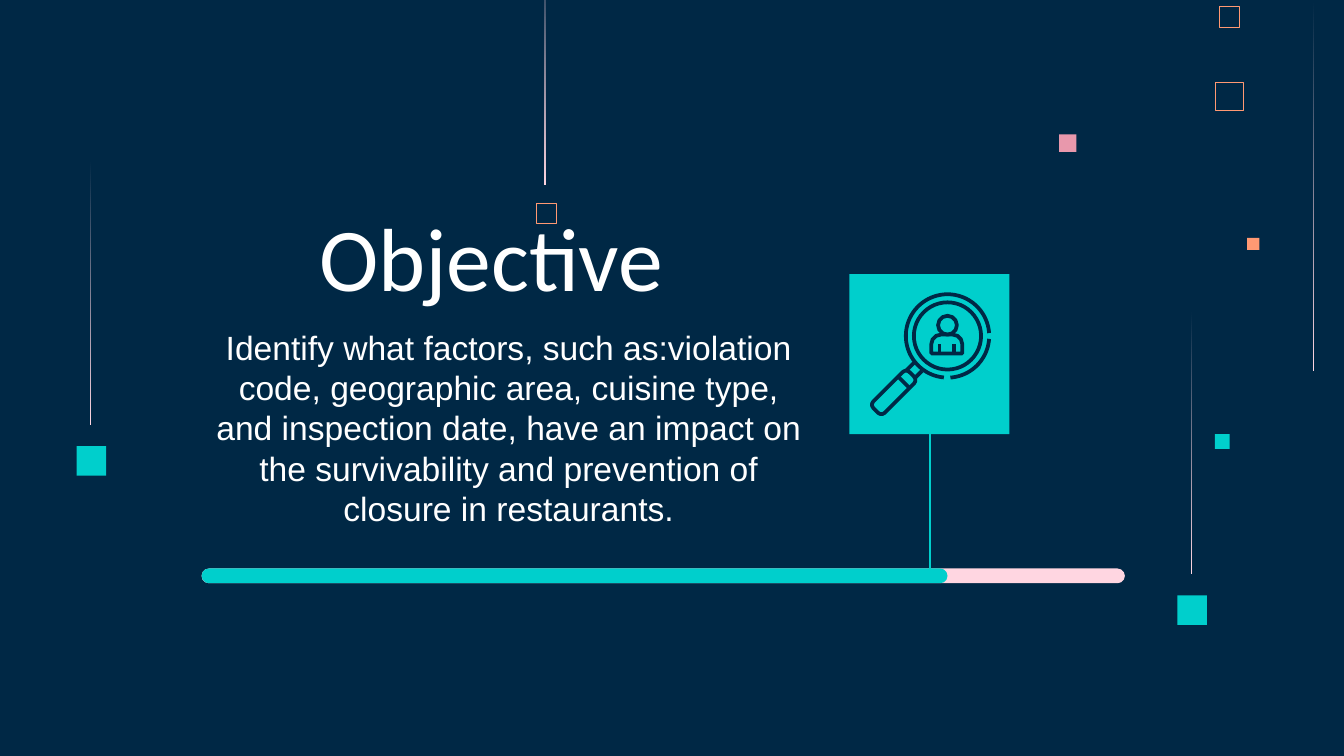
from dataclasses import dataclass
from math import cos, radians, sin

from lxml import etree
from pptx import Presentation
from pptx.dml.color import RGBColor
from pptx.enum.shapes import MSO_CONNECTOR, MSO_SHAPE
from pptx.enum.text import MSO_ANCHOR, MSO_AUTO_SIZE, PP_ALIGN
from pptx.oxml.ns import qn
from pptx.util import Inches, Pt

RECT, OVAL = MSO_SHAPE.RECTANGLE, MSO_SHAPE.OVAL
ROUNDED, ROUND_TOP = MSO_SHAPE.ROUNDED_RECTANGLE, MSO_SHAPE.ROUND_2_SAME_RECTANGLE
STRAIGHT = MSO_CONNECTOR.STRAIGHT
TOP, BOTTOM = MSO_ANCHOR.TOP, MSO_ANCHOR.BOTTOM
CENTER = PP_ALIGN.CENTER
NO_AUTOFIT = MSO_AUTO_SIZE.NONE


@dataclass(frozen=True)
class Theme:
    navy: str = "002845"
    teal: str = "00CFCC"
    orange: str = "FF9973"
    rose: str = "E898AC"
    blush: str = "FFD6E1"
    white: str = "FFFFFF"
    title_font: str = "Calibri"
    body_font: str = "Arial"
    title_size: int = 48
    body_size: int = 18
    icon_line: float = 2


THEME = Theme()


def rgb(value):
    return RGBColor.from_string(value)


def paint(sp, fill=None, line=None, width=1):
    """Give a shape a plain fill and outline, without shadow."""
    sp.shadow.inherit = False
    if fill:
        sp.fill.solid()
        sp.fill.fore_color.rgb = rgb(fill)
    else:
        sp.fill.background()
    if line:
        sp.line.color.rgb = rgb(line)
        sp.line.width = Pt(width)
    else:
        sp.line.fill.background()


def add_shape(s, kind, x, y, w, h, rounding=None, **style):
    sp = s.shapes.add_shape(kind, Inches(x), Inches(y), Inches(w), Inches(h))
    if rounding is not None:
        sp.adjustments[0] = rounding
    paint(sp, **style)
    return sp


def add_line(s, x1, y1, x2, y2, color, width):
    line = s.shapes.add_connector(STRAIGHT, Inches(x1), Inches(y1), Inches(x2), Inches(y2))
    line.line.color.rgb = rgb(color)
    line.line.width = Pt(width)
    etree.SubElement(line._element.spPr, qn("a:effectLst"))


def add_arc(s, cx, cy, radius, start, end, color, width):
    """Draw an open arc, with angles in degrees clockwise from the right."""
    points = [(Inches(cx + radius * cos(radians(a))), Inches(cy + radius * sin(radians(a))))
              for a in range(start, end + 1)]
    builder = s.shapes.build_freeform(*points[0])
    builder.add_line_segments(points[1:], close=False)
    paint(builder.convert_to_shape(), line=color, width=width)


def add_streak(s, x, y, h):
    """Draw a hairline that fades into the background at its top."""
    sp = add_shape(s, RECT, x, y, 0.01, h)
    sp.fill.gradient()
    sp.fill.gradient_angle = 270
    for stop, color, position in zip(sp.fill.gradient_stops, (THEME.navy, THEME.blush), (0, 1)):
        stop.color.rgb = rgb(color)
        stop.position = position


def set_text(sp, text, font, size, anchor):
    tf = sp.text_frame
    frame = {"word_wrap": True, "auto_size": NO_AUTOFIT, "vertical_anchor": anchor}
    margins = dict.fromkeys(
        ("margin_left", "margin_right", "margin_top", "margin_bottom"), Inches(0.1))
    for name, value in {**frame, **margins}.items():
        setattr(tf, name, value)
    p = tf.paragraphs[0]
    p.alignment, p.line_spacing = CENTER, 1.0
    r = p.add_run()
    r.text = text
    for name, value in {"name": font, "size": Pt(size), "bold": False}.items():
        setattr(r.font, name, value)
    r.font.color.rgb = rgb(THEME.white)


def add_decoration(s):
    for x, y, size, color in (
        (7.88, 1, 0.13, THEME.rose),
        (9.04, 3.23, 0.11, THEME.teal),
        (9.28, 1.77, 0.09, THEME.orange),
        (8.76, 4.43, 0.22, THEME.teal),
        (0.57, 3.32, 0.22, THEME.teal),
    ):
        add_shape(s, RECT, x, y, size, size, fill=color)
    for x, y, size, width in ((9.04, 0.61, 0.21, 0.45), (9.07, 0.05, 0.15, 0.32),
                              (3.99, 1.51, 0.15, 0.32)):
        add_shape(s, RECT, x, y, size, size, line=THEME.orange, width=width)
    for x, y, h in ((4.05, -0.48, 1.86), (9.77, 0, 2.76), (8.86, 2.31, 1.96), (0.67, 1.19, 1.97)):
        add_streak(s, x, y, h)


def add_texts(s):
    title = s.shapes.title
    title.left, title.top, title.width, title.height = map(Inches, (2.22, 1.48, 2.87, 0.92))
    set_text(title, "Objective", THEME.title_font, THEME.title_size, BOTTOM)
    body = s.shapes.add_textbox(Inches(1.5), Inches(2.33), Inches(4.57), Inches(1.9))
    set_text(body, "Identify what factors, such as:violation code, geographic area, "
             "cuisine type, and inspection date, have an impact on the survivability "
             "and prevention of closure in restaurants.",
             THEME.body_font, THEME.body_size, TOP)


def add_progress(s):
    for w, color in ((6.87, THEME.blush), (5.55, THEME.teal)):
        add_shape(s, ROUNDED, 1.5, 4.23, w, 0.11, rounding=0.5, fill=color)
    add_line(s, 6.92, 3.23, 6.92, 4.3, THEME.teal, 1.5)


def add_search_icon(s):
    pen = {"color": THEME.navy, "width": THEME.icon_line}
    outline = {"line": THEME.navy, "width": THEME.icon_line}
    cx, cy = 7.05, 2.5
    # Lens: broken outer ring and full inner ring
    for start, end in ((4, 86), (95, 356)):
        add_arc(s, cx, cy, 0.31, start, end, **pen)
    add_shape(s, OVAL, cx - 0.25, cy - 0.25, 0.5, 0.5, **outline)
    # Person: head, shoulders and arms
    add_shape(s, OVAL, cx - 0.07, 2.35, 0.14, 0.14, **outline)
    add_shape(s, ROUND_TOP, cx - 0.12, 2.49, 0.23, 0.14, rounding=0.5, **outline)
    for x in (cx - 0.06, cx + 0.05):
        add_line(s, x, 2.56, x, 2.63, **pen)
    # Handle: grip, band and neck
    grip = add_shape(s, ROUNDED, 6.46, 2.86, 0.38, 0.12, rounding=0.3, **outline)
    grip.rotation = -45
    for ends in ((6.69, 2.81, 6.76, 2.88), (6.74, 2.76, 6.8, 2.7), (6.8, 2.82, 6.86, 2.76)):
        add_line(s, *ends, **pen)


def main():
    prs = Presentation()
    # Widescreen, 16:9
    prs.slide_width, prs.slide_height = Inches(10), Inches(10 * 9 / 16)
    s = prs.slides.add_slide(prs.slide_layouts[5])
    s.background.fill.solid()
    s.background.fill.fore_color.rgb = rgb(THEME.navy)

    add_decoration(s)
    add_texts(s)
    # Icon tile on its stem above the progress bar
    add_shape(s, RECT, 6.32, 2.04, 1.19, 1.19, fill=THEME.teal)
    add_progress(s)
    add_search_icon(s)
    prs.save("out.pptx")


if __name__ == "__main__":
    main()
